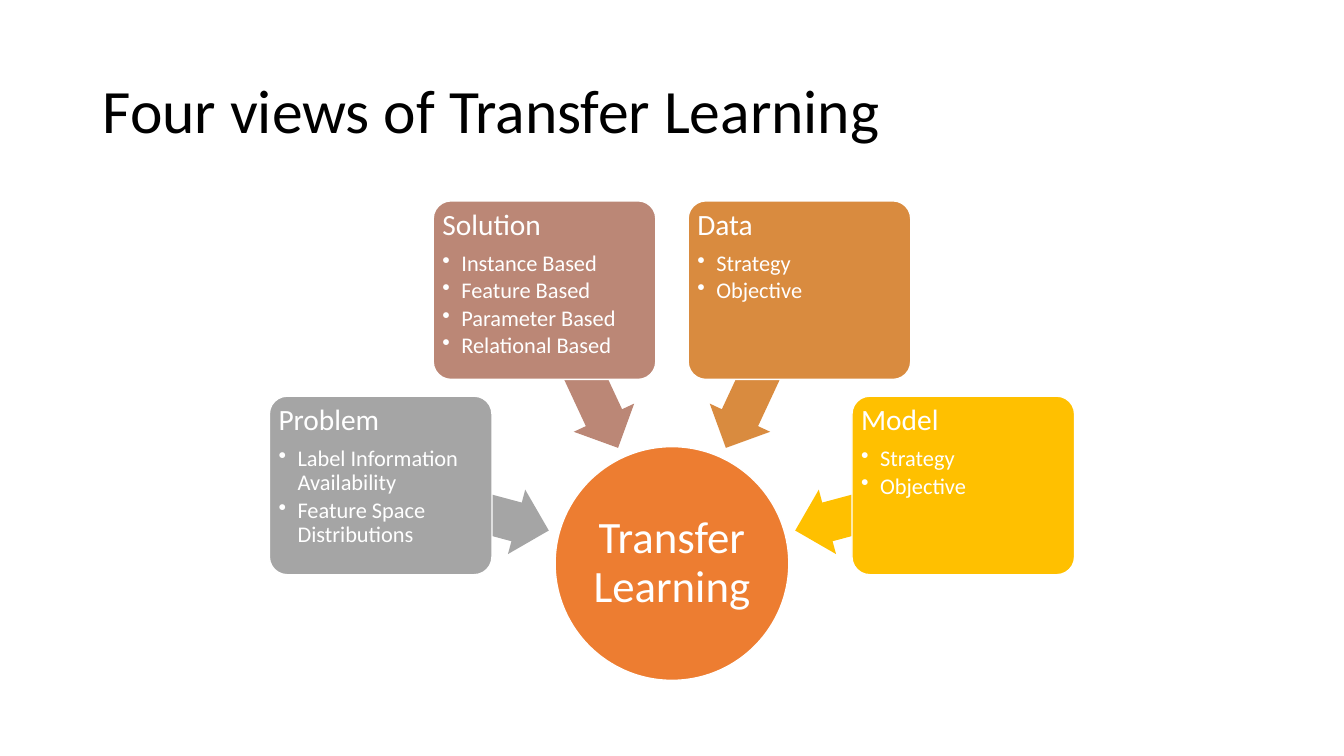
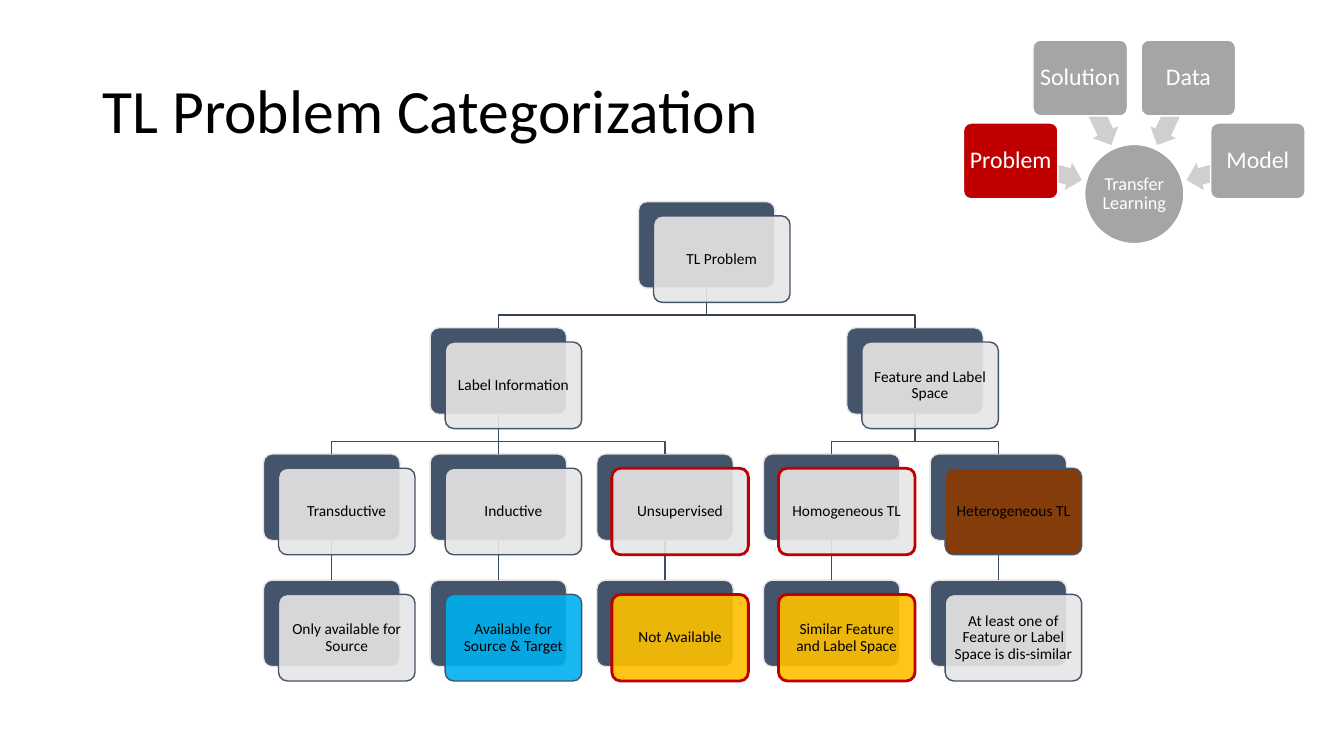
from dataclasses import dataclass, field
from math import cos, radians, sin

from lxml.etree import SubElement
from pptx import Presentation
from pptx.dml.color import RGBColor
from pptx.enum.shapes import MSO_CONNECTOR, MSO_SHAPE
from pptx.enum.text import MSO_ANCHOR, MSO_AUTO_SIZE, PP_ALIGN
from pptx.oxml.ns import qn
from pptx.util import Cm, Pt

FONT = "Calibri"
BLACK = RGBColor(0x00, 0x00, 0x00)
WHITE = RGBColor(0xFF, 0xFF, 0xFF)
ORANGE = RGBColor(0xED, 0x7D, 0x31)
GRAY = RGBColor(0xA5, 0xA5, 0xA5)
PALE_GRAY = RGBColor(0xCF, 0xCF, 0xCF)
ROSE = RGBColor(0xBB, 0x87, 0x76)
OCHRE = RGBColor(0xD9, 0x8B, 0x3F)
GOLD = RGBColor(0xFF, 0xC0, 0x00)
RED = RGBColor(0xC0, 0x00, 0x00)
SKY = RGBColor(0x00, 0xB0, 0xF0)
BROWN = RGBColor(0x84, 0x3C, 0x0B)
SLATE = RGBColor(0x44, 0x54, 0x6A)
SILVER = RGBColor(0xE7, 0xE6, 0xE6)
ROOT_BRANCH = RGBColor(0x36, 0x43, 0x55)
BRANCH = RGBColor(0x3E, 0x4C, 0x60)

# Radial diagram at full size, in centimetres
RADIAL_WIDTH = 20.29
HUB_CENTER_Y = 9.12
HUB_SIZE = 5.89
CARD_WIDTH, CARD_HEIGHT, CARD_RADIUS = 5.61, 4.5, 7.6
ARROW_LENGTH, ARROW_HEIGHT, ARROW_RADIUS = 4.39, 1.68, 5.41
FIRST_ANGLE, ANGLE_STEP = 195, 50

# Tree grid, in centimetres
COLUMN_STEP, ROW_STEP = 4.2, 3.18
NODE_WIDTH, NODE_HEIGHT = 3.44, 2.18
FRONT_DX, FRONT_DY = 0.38, 0.36
BEND_DROP = 0.68


@dataclass
class View:
    name: str
    color: RGBColor
    arrow_color: RGBColor
    points: tuple = ()


@dataclass
class Node:
    label: str
    children: list = field(default_factory=list)
    fill: RGBColor = SILVER
    border: RGBColor = SLATE
    opacity: int = 90
    column: float = 0
    row: int = 0
    back: object = None


# Shared helpers
def add_titled_slide(deck, title_text):
    slide = deck.slides.add_slide(deck.slide_layouts[5])
    title = slide.shapes.title
    title.left, title.top, title.width, title.height = (
        Cm(2.33), Cm(1.02), Cm(29.21), Cm(3.68))
    frame = title.text_frame
    frame.text = title_text
    frame.auto_size = MSO_AUTO_SIZE.NONE
    frame.vertical_anchor = MSO_ANCHOR.MIDDLE
    style_paragraph(frame.paragraphs[0], 44, BLACK, PP_ALIGN.LEFT)
    return slide


def style_paragraph(paragraph, size, color, align):
    paragraph.alignment = align
    paragraph.line_spacing = 0.9
    for run in paragraph.runs:
        run.font.name = FONT
        run.font.size = Pt(size)
        run.font.color.rgb = color


def add_block(slide, preset, box, fill, border=None, border_width=1):
    block = slide.shapes.add_shape(preset, *(Cm(length) for length in box))
    block.shadow.inherit = False
    block.fill.solid()
    block.fill.fore_color.rgb = fill
    if border is None:
        block.line.fill.background()
    else:
        block.line.color.rgb = border
        block.line.width = Pt(border_width)
    if preset == MSO_SHAPE.ROUNDED_RECTANGLE:
        block.adjustments[0] = 0.1
    return block


def prepare_frame(block, margin, anchor):
    frame = block.text_frame
    frame.word_wrap = True
    frame.vertical_anchor = anchor
    frame.margin_left = frame.margin_right = Cm(margin)
    frame.margin_top = frame.margin_bottom = Cm(margin)
    return frame


def write_centered(block, text, size, color, margin):
    frame = prepare_frame(block, margin, MSO_ANCHOR.MIDDLE)
    frame.text = text
    style_paragraph(frame.paragraphs[0], size, color, PP_ALIGN.CENTER)


# Radial diagram: hub, arrows and view cards
def write_view_points(card, view):
    frame = prepare_frame(card, 0.1, MSO_ANCHOR.TOP)
    frame.text = view.name
    heading = frame.paragraphs[0]
    style_paragraph(heading, 21, WHITE, PP_ALIGN.LEFT)
    heading.space_after = Pt(7.35)
    for point in view.points:
        paragraph = frame.add_paragraph()
        paragraph.text = point
        paragraph.level = 1
        properties = paragraph._p.get_or_add_pPr()
        properties.set("marL", str(Cm(0.48)))
        properties.set("indent", str(-Cm(0.48)))
        SubElement(properties, qn("a:buChar"), char="•")
        style_paragraph(paragraph, 16, WHITE, PP_ALIGN.LEFT)
        paragraph.space_after = Pt(2.4)


def draw_radial(slide, left, top, width, views, hub_color, hub_size, name_size):
    scale = width / RADIAL_WIDTH
    center_x, center_y = left + width / 2, top + HUB_CENTER_Y * scale

    def box_at(angle, radius, box_width, box_height):
        x = center_x + radius * scale * cos(radians(angle))
        y = center_y + radius * scale * sin(radians(angle))
        return (x - box_width * scale / 2, y - box_height * scale / 2,
                box_width * scale, box_height * scale)

    hub = add_block(slide, MSO_SHAPE.OVAL, box_at(0, 0, HUB_SIZE, HUB_SIZE),
                    hub_color, WHITE)
    write_centered(hub, "Transfer Learning", hub_size, WHITE, 0.03)

    for index, view in enumerate(views):
        angle = FIRST_ANGLE + index * ANGLE_STEP
        arrow = add_block(
            slide, MSO_SHAPE.LEFT_ARROW,
            box_at(angle, ARROW_RADIUS, ARROW_LENGTH, ARROW_HEIGHT),
            view.arrow_color)
        arrow.adjustments[0], arrow.adjustments[1] = 0.6, 0.5
        arrow.rotation = angle
        card = add_block(
            slide, MSO_SHAPE.ROUNDED_RECTANGLE,
            box_at(angle, CARD_RADIUS, CARD_WIDTH, CARD_HEIGHT),
            view.color, WHITE)
        if view.points:
            write_view_points(card, view)
        else:
            write_centered(card, view.name, name_size, WHITE, 0.05)


# Tree: layered cards joined by branches
def arrange(node, row=0, next_column=0):
    """Set columns and rows; return the next free column."""
    node.row = row
    if not node.children:
        node.column = next_column
        return next_column + 1
    for child in node.children:
        next_column = arrange(child, row + 1, next_column)
    node.column = (node.children[0].column + node.children[-1].column) / 2
    return next_column


def walk(node):
    yield node
    for child in node.children:
        yield from walk(child)


def draw_branch(slide, parent, child):
    start_x = parent.back.left + parent.back.width // 2
    start_y = parent.back.top + parent.back.height
    end_x, end_y = child.back.left + child.back.width // 2, child.back.top
    if parent.column == child.column:
        branch = slide.shapes.add_connector(
            MSO_CONNECTOR.STRAIGHT, start_x, start_y, end_x, end_y)
        branch.begin_connect(parent.back, 2)
        branch.end_connect(child.back, 0)
        SubElement(branch._element.spPr, qn("a:effectLst"))
    else:
        bend_y = start_y + Cm(BEND_DROP)
        outline = slide.shapes.build_freeform(start_x, start_y)
        outline.add_line_segments(
            [(start_x, bend_y), (end_x, bend_y), (end_x, end_y)], close=False)
        branch = outline.convert_to_shape()
        branch.fill.background()
        branch.shadow.inherit = False
    branch.line.color.rgb = ROOT_BRANCH if parent.row == 0 else BRANCH
    branch.line.width = Pt(1)


def draw_tree(slide, left, top, root):
    arrange(root)
    nodes = list(walk(root))

    def node_box(node, dx=0, dy=0):
        return (left + node.column * COLUMN_STEP + dx,
                top + node.row * ROW_STEP + dy, NODE_WIDTH, NODE_HEIGHT)

    for node in nodes:
        node.back = add_block(slide, MSO_SHAPE.ROUNDED_RECTANGLE,
                              node_box(node), SLATE, SILVER)
    for node in nodes:
        for child in node.children:
            draw_branch(slide, node, child)
    for node in nodes:
        front = add_block(slide, MSO_SHAPE.ROUNDED_RECTANGLE,
                          node_box(node, FRONT_DX, FRONT_DY), node.fill,
                          node.border, 2 if node.border == RED else 1)
        if node.opacity < 100:
            color = front._element.spPr.find(
                f"{qn('a:solidFill')}/{qn('a:srgbClr')}")
            SubElement(color, qn("a:alpha"), val=str(node.opacity * 1000))
        write_centered(front, node.label, 11, BLACK, 0.13)


# Slides
def build_views_slide(deck):
    slide = add_titled_slide(deck, "Four views of Transfer Learning")
    views = [
        View("Problem", GRAY, GRAY,
             ("Label Information Availability", "Feature Space Distributions")),
        View("Solution", ROSE, ROSE,
             ("Instance Based", "Feature Based", "Parameter Based",
              "Relational Based")),
        View("Data", OCHRE, OCHRE, ("Strategy", "Objective")),
        View("Model", GOLD, GOLD, ("Strategy", "Objective")),
    ]
    draw_radial(slide, 6.79, 5.08, RADIAL_WIDTH, views, ORANGE, 32, 21)


def build_problem_slide(deck):
    slide = add_titled_slide(deck, "TL Problem Categorization")
    root = Node("TL Problem", [
        Node("Label Information", [
            Node("Transductive", [Node("Only available for Source")]),
            Node("Inductive",
                 [Node("Available for Source & Target", fill=SKY)]),
            Node("Unsupervised",
                 [Node("Not Available", fill=GOLD, border=RED)], border=RED),
        ]),
        Node("Feature and Label Space", [
            Node("Homogeneous TL",
                 [Node("Similar Feature and Label Space", fill=GOLD,
                       border=RED)], border=RED),
            Node("Heterogeneous TL",
                 [Node("At least one of Feature or Label Space is dis-similar")],
                 fill=BROWN, opacity=100),
        ]),
    ])
    draw_tree(slide, 6.64, 5.08, root)
    views = [View(name, RED if name == "Problem" else GRAY, PALE_GRAY)
             for name in ("Problem", "Solution", "Data", "Model")]
    draw_radial(slide, 24.28, 1.02, 8.61, views, GRAY, 13, 17)


def main():
    deck = Presentation()
    deck.slide_width, deck.slide_height = Cm(33.87), Cm(19.05)
    build_views_slide(deck)
    build_problem_slide(deck)
    deck.save("out.pptx")


if __name__ == "__main__":
    main()
